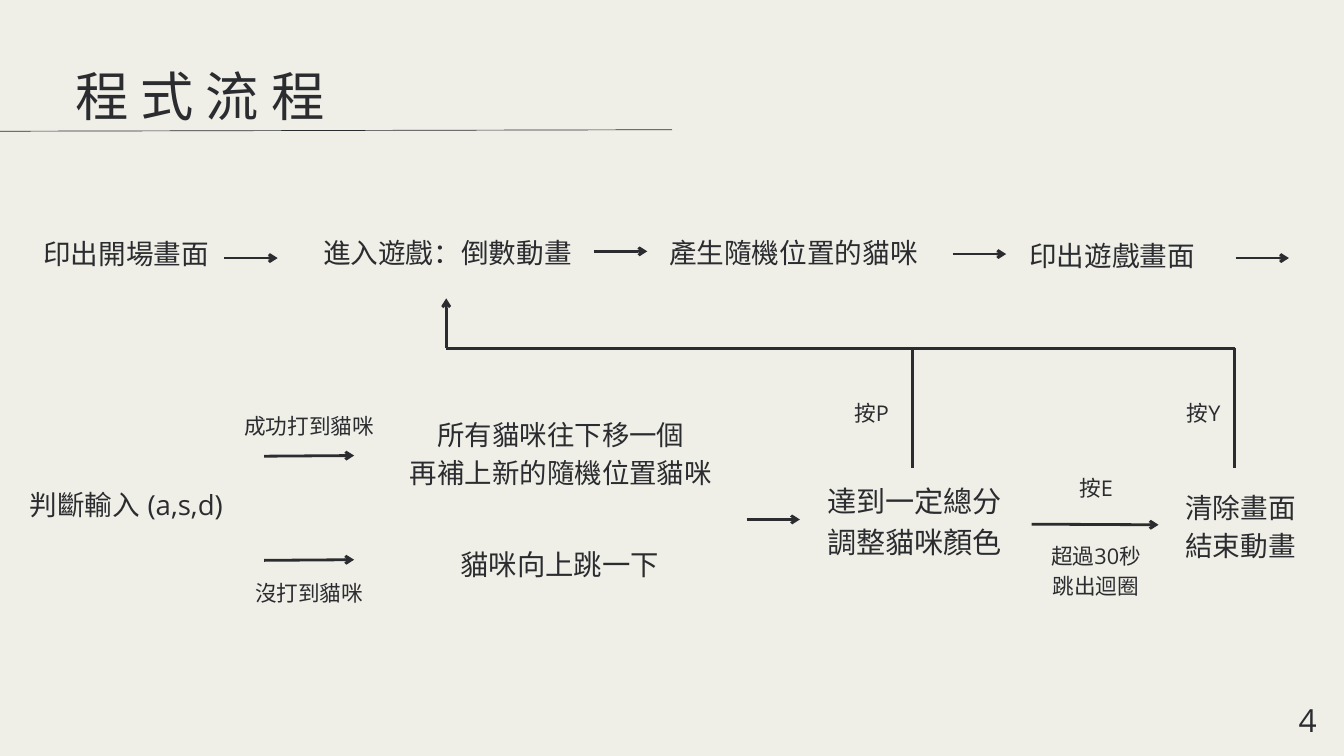
from dataclasses import dataclass
from itertools import cycle

from lxml import etree
from pptx import Presentation
from pptx.dml.color import RGBColor
from pptx.enum import shapes, text
from pptx.oxml import ns
from pptx.util import Pt


@dataclass(frozen=True)
class Theme:
    ink: RGBColor = RGBColor(0x2B, 0x2C, 0x30)
    paper: RGBColor = RGBColor(0xEF, 0xEE, 0xE7)
    calibri: str = "Calibri"
    open_sans: str = "Open Sans"
    title: float = 57.1
    step: float = 29.6
    shift: float = 29.4
    jump: float = 30.4
    score: float = 31.2
    note: float = 23.2
    number: float = 34
    leading: float = 1.4
    rule: float = 0.75
    stroke: float = 3


@dataclass(frozen=True)
class Box:
    left: float
    top: float
    width: float
    height: float


THEME = Theme()
MIXED = (THEME.open_sans, THEME.calibri)


def format_paragraph(paragraph, size, font, alignment):
    paragraph.alignment = alignment
    paragraph.line_spacing = Pt(round(size * THEME.leading, 1))
    paragraph.font.size = Pt(size)
    paragraph.font.color.rgb = THEME.ink
    paragraph.font.name = font
    properties = paragraph._p.pPr.find(ns.qn("a:defRPr"))
    etree.SubElement(properties, ns.qn("a:ea"), typeface=font)
    return properties


def clear_frame(frame):
    frame.margin_left = frame.margin_right = frame.margin_top = frame.margin_bottom = 0
    frame.vertical_anchor = text.MSO_ANCHOR.TOP
    frame.auto_size = text.MSO_AUTO_SIZE.NONE
    frame.word_wrap = True


def text_width(line, size):
    return size * (1 + sum(0.5 if character.isascii() else 1 for character in line))


def add_label(slide, center, top, lines, size, fonts=(THEME.calibri,)):
    width = max(text_width(line, size) for line in lines)
    height = len(lines) * size * THEME.leading
    shape = slide.shapes.add_textbox(Pt(center - width / 2), Pt(top), Pt(width), Pt(height))
    frame = shape.text_frame
    clear_frame(frame)
    frame.text = "\n".join(lines)
    for paragraph, font in zip(frame.paragraphs, cycle(fonts)):
        format_paragraph(paragraph, size, font, text.PP_ALIGN.CENTER)


def add_line(slide, start, end, width=THEME.stroke, arrow=False):
    line = slide.shapes.add_connector(
        shapes.MSO_CONNECTOR.STRAIGHT, *(Pt(value) for value in (*start, *end)))
    line.line.color.rgb = THEME.ink
    line.line.width = Pt(width)
    if arrow:
        etree.SubElement(line.line._get_or_add_ln(), ns.qn("a:tailEnd"), type="arrow")
    etree.SubElement(line._element.spPr, ns.qn("a:effectLst"))


def add_title(slide, box):
    title = slide.shapes.title
    title.left, title.top = Pt(box.left), Pt(box.top)
    title.width, title.height = Pt(box.width), Pt(box.height)
    clear_frame(title.text_frame)
    title.text_frame.text = "程式流程"
    properties = format_paragraph(
        title.text_frame.paragraphs[0], THEME.title, THEME.calibri, text.PP_ALIGN.LEFT)
    properties.set("spc", "1300")
    add_line(slide, (0, box.top + 84.4), (720, box.top + 82.8), THEME.rule)


def add_opening_row(slide, box):
    steps = (
        ("印出開場畫面", 135.4, 1.4, 240.5, 29.5),
        ("進入遊戲：倒數動畫", 479.5, 0, 636.5, 22.3),
        ("產生隨機位置的貓咪", 850.2, 0, 1021, 25.2),
        ("印出遊戲畫面", 1191.6, 2.9, 1324, 29.5),
    )
    for step, center, offset, arrow_left, arrow_offset in steps:
        add_label(slide, box.left + center, box.top + offset, [step], THEME.step)
        x, y = box.left + arrow_left, box.top + arrow_offset
        add_line(slide, (x, y), (x + 57, y), arrow=True)


def add_input_branches(slide, box):
    add_label(slide, box.left + 135.4, box.top + 79.2, ["判斷輸入 (a,s,d)"],
              THEME.step, (THEME.open_sans,))
    for note, note_offset, arrow_offset in (("成功打到貓咪", 0, 51), ("沒打到貓咪", 178.5, 162.6)):
        add_label(slide, box.left + 331.2, box.top + note_offset, [note], THEME.note)
        y = box.top + arrow_offset
        add_line(slide, (box.left + 283, y), (box.left + 379.4, y - 0.7), arrow=True)
    add_label(slide, box.left + 601, box.top + 4.3,
              ["所有貓咪往下移一個", "再補上新的隨機位置貓咪"], THEME.shift, MIXED)
    add_label(slide, box.left + 599.5, box.top + 141.8, ["貓咪向上跳一下"],
              THEME.jump, (THEME.open_sans,))
    y = box.top + 118.8
    add_line(slide, (box.left + 800, y), (box.left + 857, y), arrow=True)


def add_ending(slide, box):
    add_label(slide, box.left + 93.6, box.top + 8, ["達到一定總分", "調整貓咪顏色"], THEME.score)
    add_label(slide, box.left + 288, box.top, ["按E"], THEME.note, (THEME.open_sans,))
    add_line(slide, (box.left + 219, box.top + 57.6), (box.left + 355, box.top + 58.3), arrow=True)
    add_label(slide, box.left + 288, box.top + 72.7, ["超過30秒", "跳出迴圈"], THEME.note, MIXED)
    add_label(slide, box.left + 443, box.top + 15.8, ["清除畫面", "結束動畫"], THEME.step)


def add_return_path(slide, box):
    right, bottom = box.left + box.width, box.top + box.height
    add_line(slide, (box.left, box.top), (right, box.top))
    add_line(slide, (box.left, box.top), (box.left, box.top - 53.3), arrow=True)
    for key, x, gap in (("按P", box.left + 499.7, 44), ("按Y", right, 33.5)):
        add_line(slide, (x, bottom), (x, box.top))
        add_label(slide, x - gap, box.top + 51.1, [key], THEME.note, (THEME.open_sans,))


def add_page_number(slide, box):
    add_label(slide, box.left + box.width / 2, box.top, ["4"], THEME.number, (THEME.open_sans,))


def main():
    presentation = Presentation()
    presentation.slide_width, presentation.slide_height = Pt(1440), Pt(810)
    slide = presentation.slides.add_slide(presentation.slide_layouts[5])
    slide.background.fill.solid()
    slide.background.fill.fore_color.rgb = THEME.paper
    add_title(slide, Box(80.6, 56.2, 1278, 77.8))
    add_opening_row(slide, Box(0, 247, 1440, 45))
    add_input_branches(slide, Box(0, 437.8, 860, 211))
    add_ending(slide, Box(886.3, 504, 532, 138))
    add_return_path(slide, Box(478.1, 373, 845, 128))
    add_page_number(slide, Box(1391.8, 744.5, 18.7, 47.6))
    presentation.save("out.pptx")


if __name__ == "__main__":
    main()
